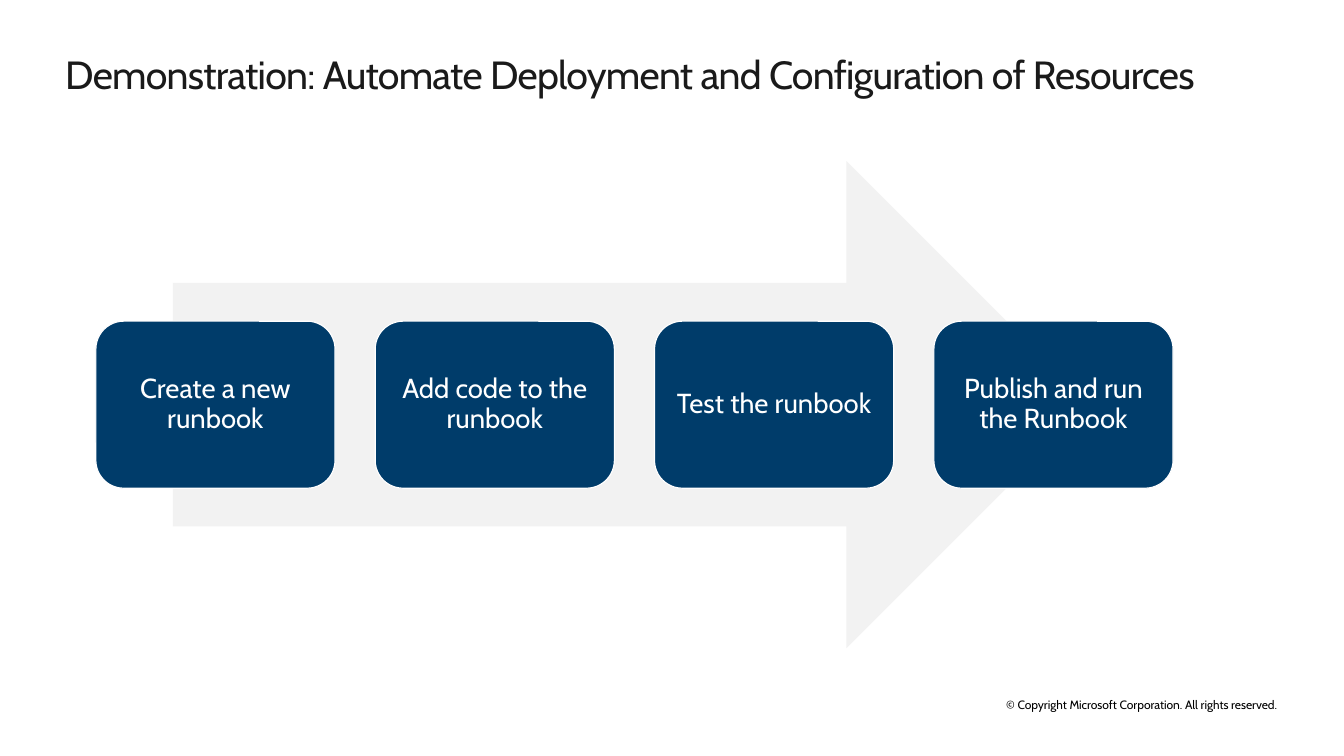
from dataclasses import dataclass

from pptx import Presentation
from pptx.dml.color import RGBColor
from pptx.enum.shapes import MSO_SHAPE
from pptx.enum.text import MSO_ANCHOR, MSO_AUTO_SIZE, PP_ALIGN
from pptx.shapes.autoshape import Shape
from pptx.shapes.shapetree import GroupShapes
from pptx.text.text import TextFrame
from pptx.util import Inches, Pt

SLIDE_WIDTH, SLIDE_HEIGHT = 13.6, 7.65
FONT = "Cabin"
WHITE = RGBColor(0xFF, 0xFF, 0xFF)
BLACK = RGBColor(0x00, 0x00, 0x00)
INK = RGBColor(0x1A, 0x1A, 0x1A)
NAVY = RGBColor(0x00, 0x3C, 0x6A)
PALE_GREY = RGBColor(0xF2, 0xF2, 0xF2)


@dataclass(frozen=True)
class Box:
    left: float
    top: float
    width: float
    height: float

    def emu(self) -> tuple[int, int, int, int]:
        return (Inches(self.left), Inches(self.top),
                Inches(self.width), Inches(self.height))


@dataclass(frozen=True)
class StepRow:
    """Equal cards spread evenly from the left to the right edge."""
    left: float
    right: float
    top: float
    card_width: float
    card_height: float

    def card(self, column: int, columns: int) -> Box:
        pitch = (self.right - self.left - self.card_width) / (columns - 1)
        return Box(self.left + column * pitch, self.top,
                   self.card_width, self.card_height)


TITLE_BOX = Box(0.66, 0.51, 12.85, 0.48)
ARROW_BOX = Box(1.75, 1.63, 9.28, 4.93)
COPYRIGHT_BOX = Box(9.78, 7.06, 3.55, 0.15)
STEP_ROW = StepRow(left=0.97, right=11.87, top=3.25, card_width=2.42, card_height=1.69)
STEPS = ["Create a new runbook", "Add code to the runbook",
         "Test the runbook", "Publish and run the Runbook"]


def write(frame: TextFrame, text: str, size: float, color: RGBColor,
          align: PP_ALIGN, anchor: MSO_ANCHOR, inset: float = 0,
          line_spacing: float = 1.0) -> None:
    frame.text = text
    frame.word_wrap = True
    frame.auto_size = MSO_AUTO_SIZE.NONE
    frame.vertical_anchor = anchor
    frame.margin_left = frame.margin_right = Inches(inset)
    frame.margin_top = frame.margin_bottom = Inches(inset)
    paragraph = frame.paragraphs[0]
    paragraph.alignment = align
    paragraph.line_spacing = line_spacing
    paragraph.space_before = Pt(0)
    font = paragraph.runs[0].font
    font.name, font.size = FONT, Pt(size)
    font.color.rgb = color


def add_filled(shapes: GroupShapes, kind: MSO_SHAPE, box: Box, fill: RGBColor) -> Shape:
    shape = shapes.add_shape(kind, *box.emu())
    shape.shadow.inherit = False
    shape.fill.solid()
    shape.fill.fore_color.rgb = fill
    shape.line.fill.background()
    return shape


def add_step(shapes: GroupShapes, box: Box, text: str) -> None:
    card = add_filled(shapes, MSO_SHAPE.ROUNDED_RECTANGLE, box, NAVY)
    card.line.color.rgb = WHITE
    card.line.width = Pt(0.85)
    write(card.text_frame, text, 20, WHITE, PP_ALIGN.CENTER, MSO_ANCHOR.MIDDLE,
          inset=0.08, line_spacing=0.9)


def main() -> None:
    deck = Presentation()
    deck.slide_width, deck.slide_height = Inches(SLIDE_WIDTH), Inches(SLIDE_HEIGHT)
    slide = deck.slides.add_slide(deck.slide_layouts[5])
    slide.background.fill.solid()
    slide.background.fill.fore_color.rgb = WHITE

    # Title
    title = slide.shapes.title
    title.left, title.top, title.width, title.height = TITLE_BOX.emu()
    write(title.text_frame,
          "Demonstration: Automate Deployment and Configuration of Resources",
          28.6, INK, PP_ALIGN.LEFT, MSO_ANCHOR.TOP)
    # Letter spacing in hundredths of a point
    title.text_frame.paragraphs[0].runs[0].font._element.set("spc", "-50")

    # Process arrow with its steps
    process = slide.shapes.add_group_shape().shapes
    add_filled(process, MSO_SHAPE.RIGHT_ARROW, ARROW_BOX, PALE_GREY)
    for column, step in enumerate(STEPS):
        add_step(process, STEP_ROW.card(column, len(STEPS)), step)

    # Copyright line
    copyright_line = slide.shapes.add_textbox(*COPYRIGHT_BOX.emu())
    write(copyright_line.text_frame,
          "© Copyright Microsoft Corporation. All rights reserved.",
          8.8, BLACK, PP_ALIGN.CENTER, MSO_ANCHOR.MIDDLE)

    deck.save("out.pptx")


if __name__ == "__main__":
    main()
